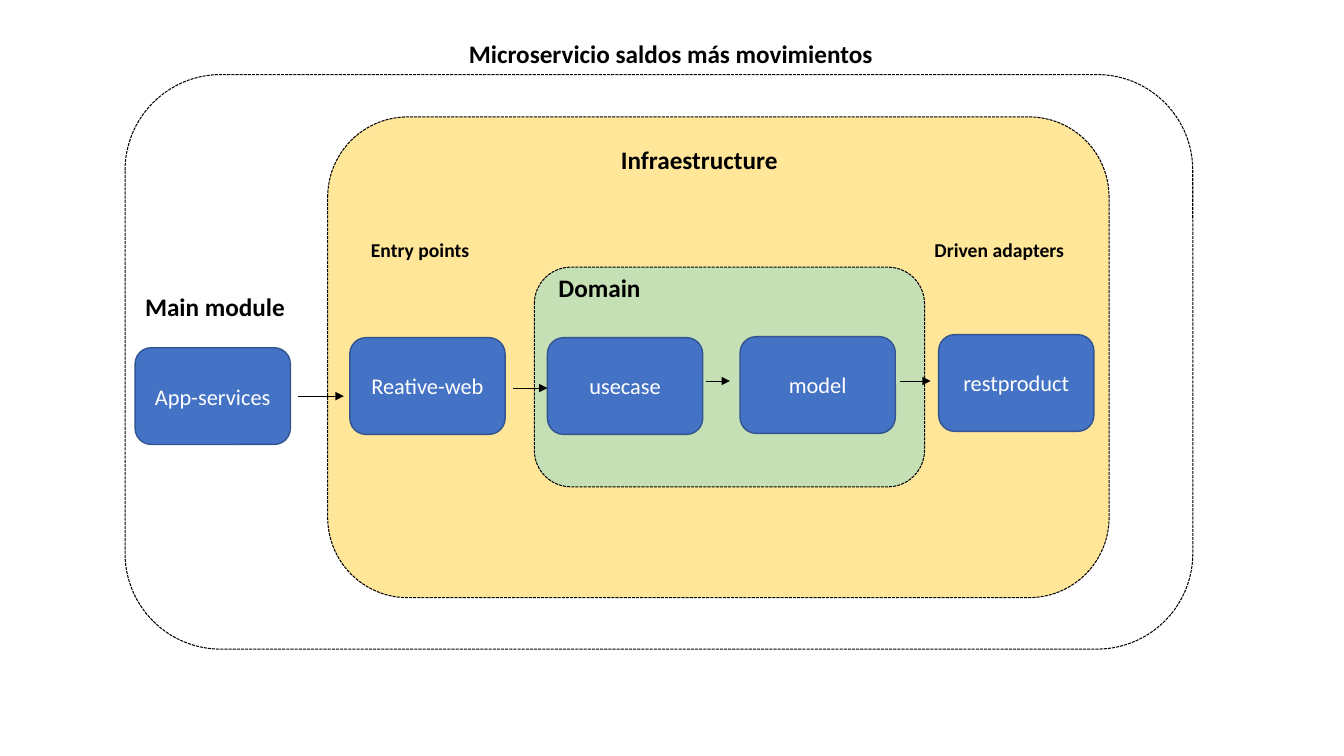
from lxml.etree import SubElement
from pptx import Presentation
from pptx.dml.color import RGBColor
from pptx.enum.dml import MSO_LINE_DASH_STYLE as Dash
from pptx.enum.shapes import MSO_CONNECTOR as Connector, MSO_SHAPE as Shape
from pptx.enum.text import MSO_ANCHOR as Anchor, MSO_AUTO_SIZE as AutoSize, PP_ALIGN as Align
from pptx.oxml.ns import qn
from pptx.util import Pt

PX = 9144
SLIDE_SIZE = (1333, 750)
FONT = "Calibri"
COLORS = {
    "black": "000000",
    "white": "FFFFFF",
    "infrastructure": "FFE699",
    "domain": "C5E0B4",
    "module": "4472C4",
    "module_line": "325491",
}

LAYERS = [
    (None, (124, 74, 1059, 570)),
    ("infrastructure", (325, 116, 775, 477)),
    ("domain", (530, 265, 387, 218)),
]
TITLE = ("Microservicio saldos más movimientos", 18, (455, 33, 423, 40))
LABELS = [
    ("Main module", 18, (134, 284, 160, 40)),
    ("Infraestructure", 18, (606, 138, 177, 40)),
    ("Driven adapters", 14, (917, 231, 150, 34)),
    ("Entry points", 14, (358, 231, 119, 34)),
    ("Domain", 18, (544, 265, 102, 40)),
]
MODULE_SIZE = (154, 96)
MODULES = [
    ("App-services", 134, 345),
    ("Reative-web", 347, 335),
    ("usecase", 543, 335),
    ("model", 734, 334),
    ("restproduct", 931, 332),
]
ARROWS = [(296, 341, 393), (509, 543, 385), (700, 724, 378), (893, 923, 378)]


def rgb(name):
    return RGBColor.from_string(COLORS[name])


def emu(lengths):
    return [length * PX for length in lengths]


def apply(target, values):
    for name, value in values.items():
        setattr(target, name, value)


def write(shape, text, size, color, bold, align, frame_format):
    frame = shape.text_frame
    apply(frame, frame_format)
    paragraph = frame.paragraphs[0]
    paragraph.alignment = align
    run = paragraph.add_run()
    run.text = text
    apply(run.font, {"name": FONT, "size": Pt(size), "bold": bold})
    run.font.color.rgb = rgb(color)


def write_label(shape, text, size):
    write(shape, text, size, "black", True, Align.LEFT, {
        "word_wrap": False,
        "auto_size": AutoSize.SHAPE_TO_FIT_TEXT,
        "vertical_anchor": Anchor.TOP,
    })


def style_line(line, color, width, dash=None):
    line.color.rgb = rgb(color)
    apply(line, {"width": Pt(width), "dash_style": dash})


def add_round_box(slide, box, fill):
    shape = slide.shapes.add_shape(Shape.ROUNDED_RECTANGLE, *emu(box))
    shape.shadow.inherit = False
    if fill:
        shape.fill.solid()
        shape.fill.fore_color.rgb = rgb(fill)
    else:
        shape.fill.background()
    return shape


def add_arrow(slide, start, end, y):
    arrow = slide.shapes.add_connector(Connector.STRAIGHT, *emu((start, y, end, y)))
    style_line(arrow.line, "black", 0.5)
    SubElement(arrow.line._get_or_add_ln(), qn("a:tailEnd"), type="triangle")
    SubElement(arrow._element.spPr, qn("a:effectLst"))


def main():
    presentation = Presentation()
    width, height = emu(SLIDE_SIZE)
    apply(presentation, {"slide_width": width, "slide_height": height})
    slide = presentation.slides.add_slide(presentation.slide_layouts[5])

    text, size, box = TITLE
    title = slide.shapes.title
    apply(title, dict(zip(("left", "top", "width", "height"), emu(box))))
    write_label(title, text, size)

    for fill, box in LAYERS:
        layer = add_round_box(slide, box, fill)
        style_line(layer.line, "black", 0.75, Dash.SQUARE_DOT)

    for text, size, box in LABELS:
        write_label(slide.shapes.add_textbox(*emu(box)), text, size)

    for text, left, top in MODULES:
        module = add_round_box(slide, (left, top, *MODULE_SIZE), "module")
        style_line(module.line, "module_line", 1)
        write(module, text, 16, "white", False, Align.CENTER,
              {"word_wrap": True, "vertical_anchor": Anchor.MIDDLE})

    for start, end, y in ARROWS:
        add_arrow(slide, start, end, y)

    presentation.save("out.pptx")


if __name__ == "__main__":
    main()
